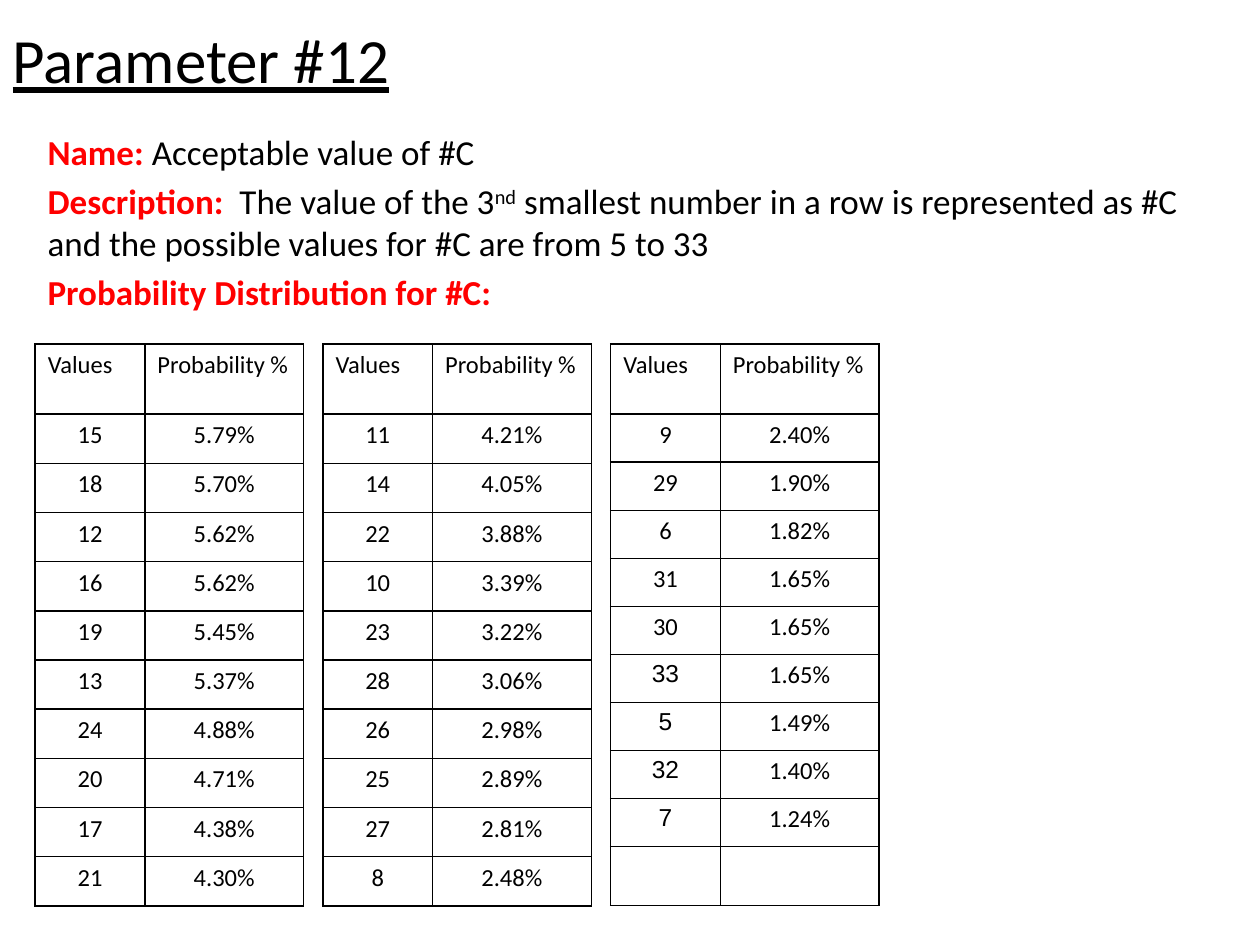
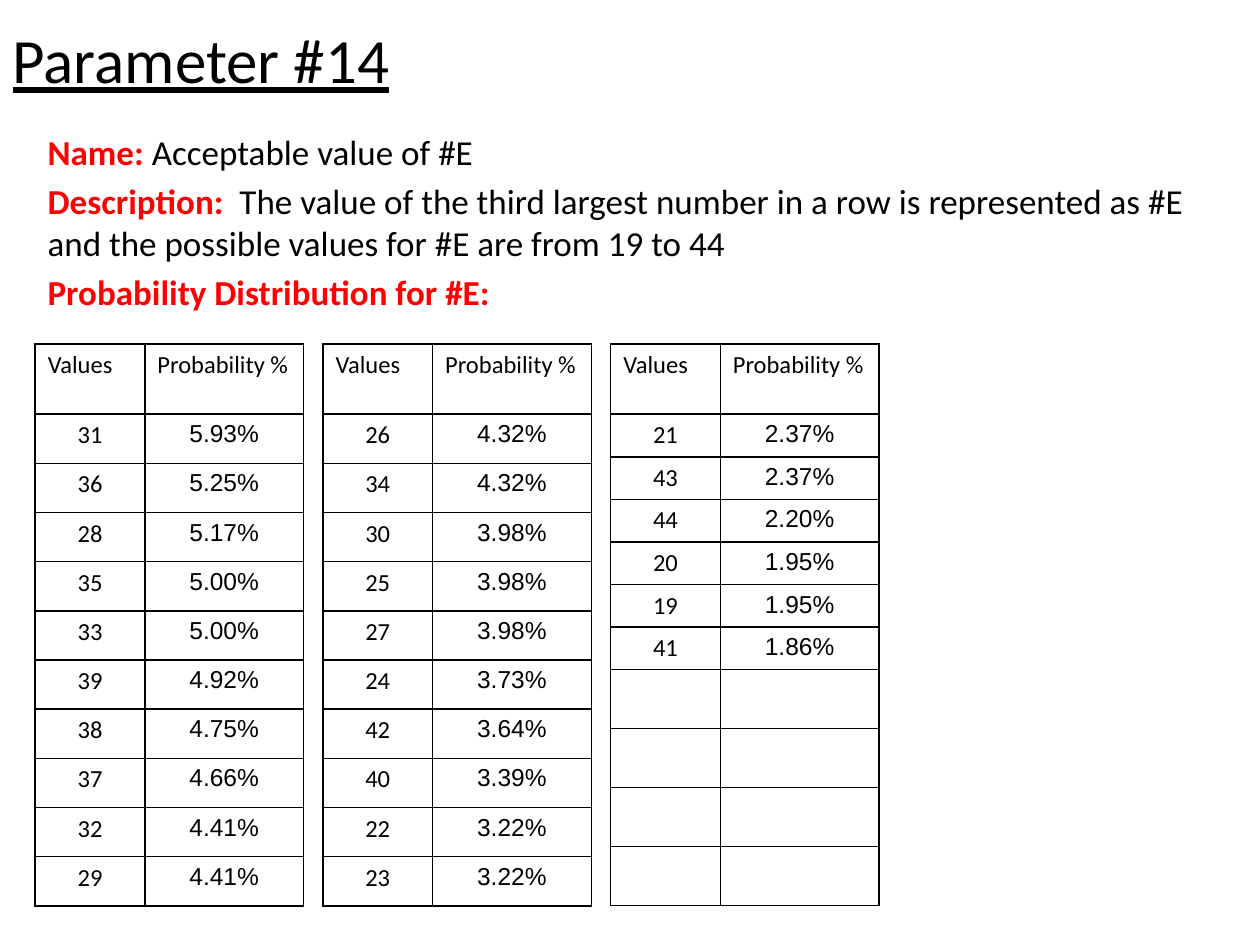
from itertools import chain

from lxml.etree import SubElement
from pptx import Presentation
from pptx.dml.color import RGBColor
from pptx.enum.text import MSO_ANCHOR, MSO_AUTO_SIZE, PP_ALIGN
from pptx.oxml.ns import qn
from pptx.util import Cm, Pt

COLORS = {"text": "000000", "label": "FF0000", "border": "000000"}
BODY_FONT = "Calibri"
ALTERNATE_FONT = "Arial"
TITLE_ONLY = 5

ROWS_PER_TABLE = 10
TABLE_COUNT = 3
TABLE_LEFT, TABLE_TOP, TABLE_STEP = 0.71, 6.93, 5.8
COLUMN_WIDTHS = (2.21, 3.2)
HEADER_HEIGHT, EMPTY_HEIGHT, ROWS_HEIGHT = 1.42, 1.19, 9.91
BORDER_WIDTH = Pt(0.96)

VALUES_C = [
    ("15", "5.79%"), ("18", "5.70%"), ("12", "5.62%"), ("16", "5.62%"), ("19", "5.45%"),
    ("13", "5.37%"), ("24", "4.88%"), ("20", "4.71%"), ("17", "4.38%"), ("21", "4.30%"),
    ("11", "4.21%"), ("14", "4.05%"), ("22", "3.88%"), ("10", "3.39%"), ("23", "3.22%"),
    ("28", "3.06%"), ("26", "2.98%"), ("25", "2.89%"), ("27", "2.81%"), ("8", "2.48%"),
    ("9", "2.40%"), ("29", "1.90%"), ("6", "1.82%"), ("31", "1.65%"), ("30", "1.65%"),
    ("33", "1.65%"), ("5", "1.49%"), ("32", "1.40%"), ("7", "1.24%"),
]
VALUES_E = [
    ("31", "5.93%"), ("36", "5.25%"), ("28", "5.17%"), ("35", "5.00%"), ("33", "5.00%"),
    ("39", "4.92%"), ("38", "4.75%"), ("37", "4.66%"), ("32", "4.41%"), ("29", "4.41%"),
    ("26", "4.32%"), ("34", "4.32%"), ("30", "3.98%"), ("25", "3.98%"), ("27", "3.98%"),
    ("24", "3.73%"), ("42", "3.64%"), ("40", "3.39%"), ("22", "3.22%"), ("23", "3.22%"),
    ("21", "2.37%"), ("43", "2.37%"), ("44", "2.20%"), ("20", "1.95%"), ("19", "1.95%"),
    ("41", "1.86%"),
]


def add_text(paragraph, text, *, size, font=BODY_FONT, color="text", bold=False,
             underline=False, superscript=False):
    run = paragraph.add_run()
    run.text = text
    run.font.name = font
    run.font.size = Pt(size)
    run.font.bold = bold
    run.font.underline = underline
    run.font.color.rgb = RGBColor.from_string(COLORS[color])
    if superscript:
        run.font._element.set("baseline", "30000")


def add_borders(cell):
    properties = cell._tc.get_or_add_tcPr()
    for side in ("lnL", "lnR", "lnT", "lnB"):
        line = SubElement(properties, qn(f"a:{side}"), w=str(BORDER_WIDTH))
        fill = SubElement(line, qn("a:solidFill"))
        SubElement(fill, qn("a:srgbClr"), val=COLORS["border"])


class ParameterDeck:
    def __init__(self):
        self.presentation = Presentation()
        self.presentation.slide_width = Cm(25.4)
        self.presentation.slide_height = Cm(19.05)
        self.slide = None

    def start_slide(self, title_text):
        layout = self.presentation.slide_layouts[TITLE_ONLY]
        self.slide = self.presentation.slides.add_slide(layout)
        title = self.slide.shapes.title
        title.left, title.top, title.width, title.height = Cm(0), Cm(0), Cm(22.86), Cm(2.36)
        frame = title.text_frame
        frame.auto_size = MSO_AUTO_SIZE.NONE
        frame.vertical_anchor = MSO_ANCHOR.MIDDLE
        paragraph = frame.paragraphs[0]
        paragraph.alignment = PP_ALIGN.LEFT
        add_text(paragraph, title_text, size=36, underline=True)

    def add_description(self, lines):
        """Each line is a list of (text, format) pairs."""
        box = self.slide.shapes.add_textbox(Cm(0.71), Cm(2.51), Cm(24.21), Cm(12.57))
        frame = box.text_frame
        frame.word_wrap = True
        for index, line in enumerate(lines):
            paragraph = frame.add_paragraph() if index else frame.paragraphs[0]
            paragraph.space_before = Pt(4)
            for text, text_format in line:
                add_text(paragraph, text, size=20, **text_format)

    def add_distribution(self, values, alternate_texts):
        """Spread the values over equal tables; alternate_texts take the second font."""
        for index in range(TABLE_COUNT):
            start = index * ROWS_PER_TABLE
            self.add_table(TABLE_LEFT + index * TABLE_STEP,
                           values[start:start + ROWS_PER_TABLE], alternate_texts)

    def add_table(self, left, rows, alternate_texts):
        empty_count = ROWS_PER_TABLE - len(rows)
        filled_height = (ROWS_HEIGHT - empty_count * EMPTY_HEIGHT) / len(rows)
        heights = [HEADER_HEIGHT] + [filled_height] * len(rows) + [EMPTY_HEIGHT] * empty_count
        table = self.slide.shapes.add_table(
            len(heights), len(COLUMN_WIDTHS), Cm(left), Cm(TABLE_TOP),
            Cm(sum(COLUMN_WIDTHS)), Cm(sum(heights))).table
        table.first_row = table.horz_banding = False
        for column, width in zip(table.columns, COLUMN_WIDTHS):
            column.width = Cm(width)
        for row, height in zip(table.rows, heights):
            row.height = Cm(height)
        for cell in table.iter_cells():
            add_borders(cell)
            cell.fill.background()

        for cell, text in zip(table.rows[0].cells, ("Values", "Probability %")):
            cell.margin_right = Cm(0.2)
            add_text(cell.text_frame.paragraphs[0], text, size=14)
        body_cells = chain.from_iterable(row.cells for row in list(table.rows)[1:])
        for cell, text in zip(body_cells, chain.from_iterable(rows)):
            cell.margin_left = cell.margin_right = Cm(0.03)
            paragraph = cell.text_frame.paragraphs[0]
            paragraph.alignment = PP_ALIGN.CENTER
            font = ALTERNATE_FONT if text in alternate_texts else BODY_FONT
            add_text(paragraph, text, size=14, font=font)

    def add_parameter(self, number, symbol, rank, value_range, values, alternate_texts):
        label = {"color": "label", "bold": True}
        self.start_slide(f"Parameter #{number}")
        self.add_description([
            [("Name: ", label), (f"Acceptable value of {symbol}", {})],
            [("Description:  ", label), ("The value of the ", {}), *rank,
             (f" number in a row is represented as {symbol} and the possible values "
              f"for {symbol} are from {value_range}", {})],
            [(f"Probability Distribution for {symbol}:", label)],
        ])
        self.add_distribution(values, alternate_texts)


def main():
    deck = ParameterDeck()
    deck.add_parameter(12, "#C", [("3", {}), ("nd", {"superscript": True}), (" smallest", {})],
                       "5 to 33", VALUES_C, {"33", "5", "32", "7"})
    deck.add_parameter(14, "#E", [("third largest", {})], "19 to 44", VALUES_E,
                       {probability for _, probability in VALUES_E})
    deck.presentation.save("out.pptx")


if __name__ == "__main__":
    main()
